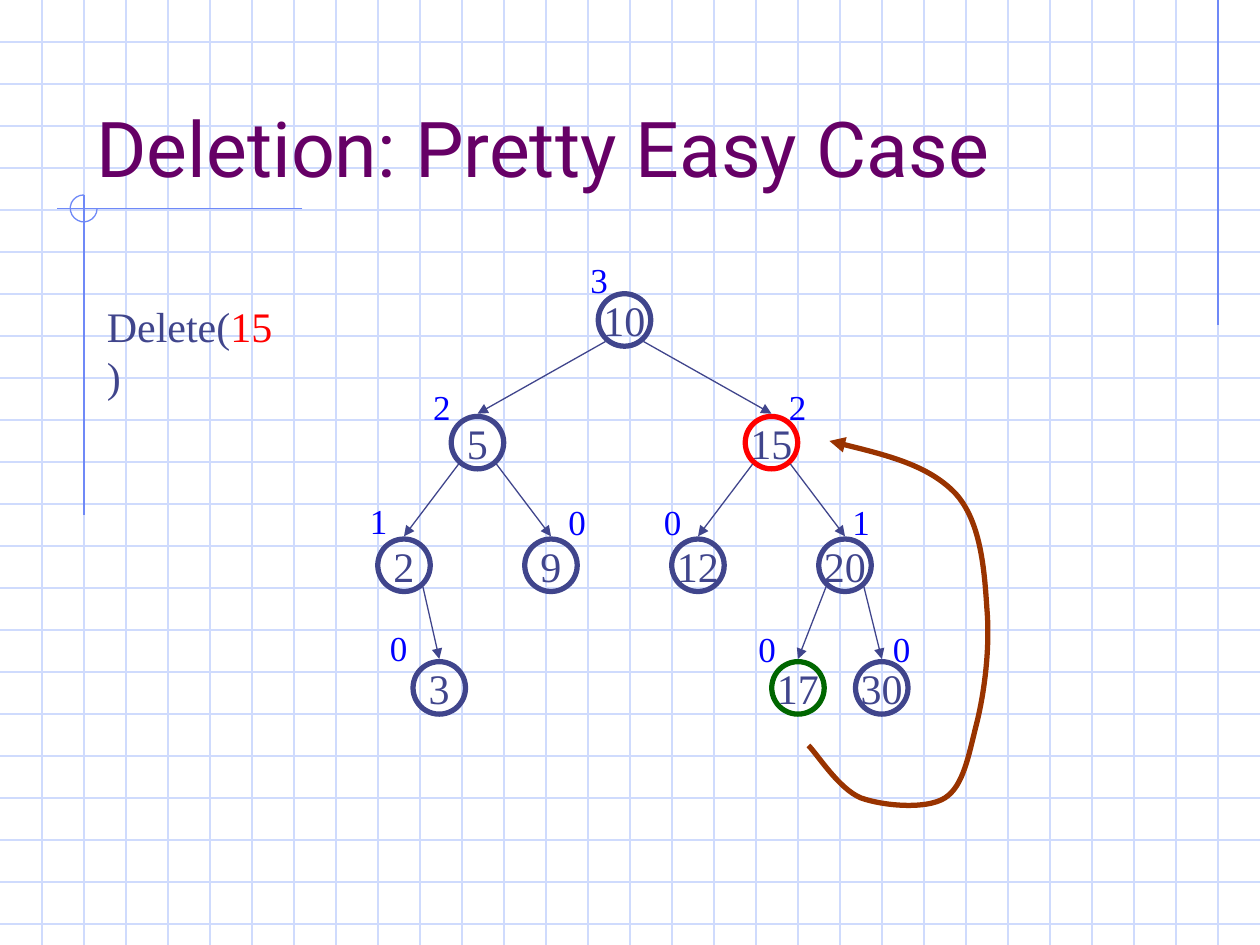
from lxml import etree
from pptx import Presentation
from pptx.dml.color import RGBColor
from pptx.enum.shapes import MSO_CONNECTOR, MSO_SHAPE
from pptx.enum.text import MSO_ANCHOR, PP_ALIGN
from pptx.oxml.ns import qn
from pptx.util import Inches, Pt

LINE, OVAL = MSO_CONNECTOR.STRAIGHT, MSO_SHAPE.OVAL
TOP, MIDDLE, BOTTOM = MSO_ANCHOR.TOP, MSO_ANCHOR.MIDDLE, MSO_ANCHOR.BOTTOM
LEFT, CENTER = PP_ALIGN.LEFT, PP_ALIGN.CENTER

# All lengths are in squares of the paper grid, three to the inch.
COLS, ROWS = 30, 22.5
COLORS = {"grid": "CFDBFD", "trim": "6F89F7", "title": "660066",
          "ink": "40458C", "deleted": "FF0000", "successor": "006600",
          "height": "0000FF", "move": "993300"}
SERIF, SANS = "Times New Roman", "Roboto"

TREE_X, TREE_Y = 9.62, 7.62      # centre of column 0, level 0
COL_STEP, LEVEL_STEP = 1.75, 2.92
NODE = 1.25
# key: (column, level, height, offset of the height label, ring colour)
NODES = {
    10: (3, 0, 3, (-1.11, -1.62), "ink"),
    5: (1, 1, 2, (-1.35, -1.5), "ink"),
    15: (5, 1, 2, (0.12, -1.5), "deleted"),
    2: (0, 2, 1, (-1.11, -1.71), "ink"),
    9: (2, 2, 0, (0.12, -1.68), "ink"),
    12: (4, 2, 0, (-1.11, -1.68), "ink"),
    20: (6, 2, 1, (-0.12, -1.68), "ink"),
    3: (0.48, 3, 0, (-1.47, -1.62), "ink"),
    17: (5.36, 3, 0, (-1.24, -1.59), "successor"),
    30: (6.5, 3, 0, (-0.03, -1.59), "ink"),
}
EDGES = [(10, 5), (10, 15), (5, 2), (5, 9), (15, 12), (15, 20),
         (2, 3), (20, 17), (20, 30)]

# Start point, then two control points and an end point for each curve
MOVE_PATH = [(19.75, 10.5),
             (20.93, 10.79), (22.11, 11.08), (22.75, 11.75),
             (23.36, 12.42), (23.44, 13.58), (23.5, 14.5),
             (23.58, 15.42), (23.44, 16.5), (23.25, 17.25),
             (23.06, 18), (22.94, 18.72), (22.5, 19),
             (22.06, 19.28), (21.03, 19.19), (20.5, 19),
             (19.97, 18.78), (19.47, 17.97), (19.25, 17.75)]
ARC_PATH = [(2, 4.64),
            (1.86, 4.64), (1.75, 4.72), (1.7, 4.83),
            (1.64, 4.96), (1.68, 5.1), (1.77, 5.19),
            (1.87, 5.28), (1.99, 5.31), (2.11, 5.26),
            (2.23, 5.21), (2.31, 5.1), (2.31, 4.97)]


def cells(n):
    return Inches(n / 3)


def rgb(name):
    return RGBColor.from_string(COLORS[name])


def style_line(s, color, width, arrow=None):
    """Style the outline; arrow is "headEnd" (start) or "tailEnd" (end)."""
    s.line.color.rgb = rgb(color)
    s.line.width = Pt(width)
    if arrow:
        ln = s.line._get_or_add_ln()
        etree.SubElement(ln, qn("a:" + arrow), type="triangle")


def add_line(slide, start, end, color, arrow=None):
    s = slide.shapes.add_connector(LINE, *map(cells, (*start, *end)))
    style_line(s, color, 0.75, arrow)
    etree.SubElement(s._element.spPr, qn("a:effectLst"))


def add_curve(slide, points, color, width, arrow=None):
    """Draw an open shape and turn each three of its points into a Bezier."""
    scaled = [(cells(x), cells(y)) for x, y in points]
    builder = slide.shapes.build_freeform(*scaled[0])
    builder.add_line_segments(scaled[1:], close=False)
    s = builder.convert_to_shape()
    s.shadow.inherit = False
    s.fill.background()
    style_line(s, color, width, arrow)
    segments = list(s._element.iter(qn("a:lnTo")))
    for i in range(0, len(segments), 3):
        bezier = etree.Element(qn("a:cubicBezTo"))
        segments[i].addprevious(bezier)
        for segment in segments[i:i + 3]:
            bezier.append(segment[0])
            segment.getparent().remove(segment)


def write(s, runs, size, font=SERIF, anchor=TOP, align=LEFT, wrap=False):
    """Fill a shape with one paragraph of (text, colour) runs."""
    tf = s.text_frame
    frame = {"word_wrap": wrap, "vertical_anchor": anchor,
             "margin_left": Inches(0.1), "margin_right": Inches(0.1),
             "margin_top": Inches(0.05), "margin_bottom": Inches(0.05)}
    for name, value in frame.items():
        setattr(tf, name, value)
    p = tf.paragraphs[0]
    p.alignment = align
    for text, color in runs:
        r = p.add_run()
        r.text = text
        for name, value in {"size": Pt(size), "name": font}.items():
            setattr(r.font, name, value)
        r.font.color.rgb = rgb(color)


def add_text(slide, box, runs, size, **options):
    write(slide.shapes.add_textbox(*map(cells, box)), runs, size, **options)


def add_paper(slide):
    for row in range(1, 23):
        add_line(slide, (0, row), (COLS, row), "grid")
    for col in range(1, COLS):
        add_line(slide, (col, 0), (col, ROWS), "grid")
    add_line(slide, (29, 0), (29, 7.74), "trim")
    add_line(slide, (7.2, 4.97), (1.36, 4.97), "trim")
    add_line(slide, (2, 4.64), (2, 12.27), "trim")
    add_curve(slide, ARC_PATH, "trim", 0.75)


def centre(key):
    col, level = NODES[key][:2]
    return TREE_X + col * COL_STEP, TREE_Y + level * LEVEL_STEP


def add_node(slide, key):
    x, y = centre(key)
    box = (x - NODE / 2, y - NODE / 2, NODE, NODE)
    s = slide.shapes.add_shape(OVAL, *map(cells, box))
    s.shadow.inherit = False
    s.fill.background()
    style_line(s, NODES[key][4], 3)
    write(s, [(str(key), "ink")], 24, anchor=MIDDLE, align=CENTER)


def add_edge(slide, parent, child):
    (x1, y1), (x2, y2) = centre(parent), centre(child)
    side = 0.45 if x2 > x1 else -0.45
    add_line(slide, (x1 + side, y1 + 0.51), (x2, y2 - 0.69), "ink", "tailEnd")


def add_height(slide, key):
    x, y = centre(key)
    height, (dx, dy) = NODES[key][2:4]
    add_text(slide, (x + dx, y + dy, 1.02, 1.32), [(str(height), "height")], 20)


def main():
    prs = Presentation()
    prs.slide_width, prs.slide_height = cells(COLS), cells(ROWS)
    slide = prs.slides.add_slide(prs.slide_layouts[6])
    add_paper(slide)
    add_text(slide, (2, 1, 25.5, 3.75), [("Deletion: Pretty Easy Case", "title")],
             44, font=SANS, anchor=BOTTOM, wrap=True)
    for key in NODES:
        add_node(slide, key)
    for parent, child in EDGES:
        add_edge(slide, parent, child)
    for key in NODES:
        add_height(slide, key)
    add_text(slide, (2.25, 7, 4.86, 1.5),
             [("Delete(", "ink"), ("15", "deleted"), (")", "ink")], 24)
    add_curve(slide, MOVE_PATH, "move", 3, "headEnd")
    prs.save("out.pptx")


if __name__ == "__main__":
    main()
